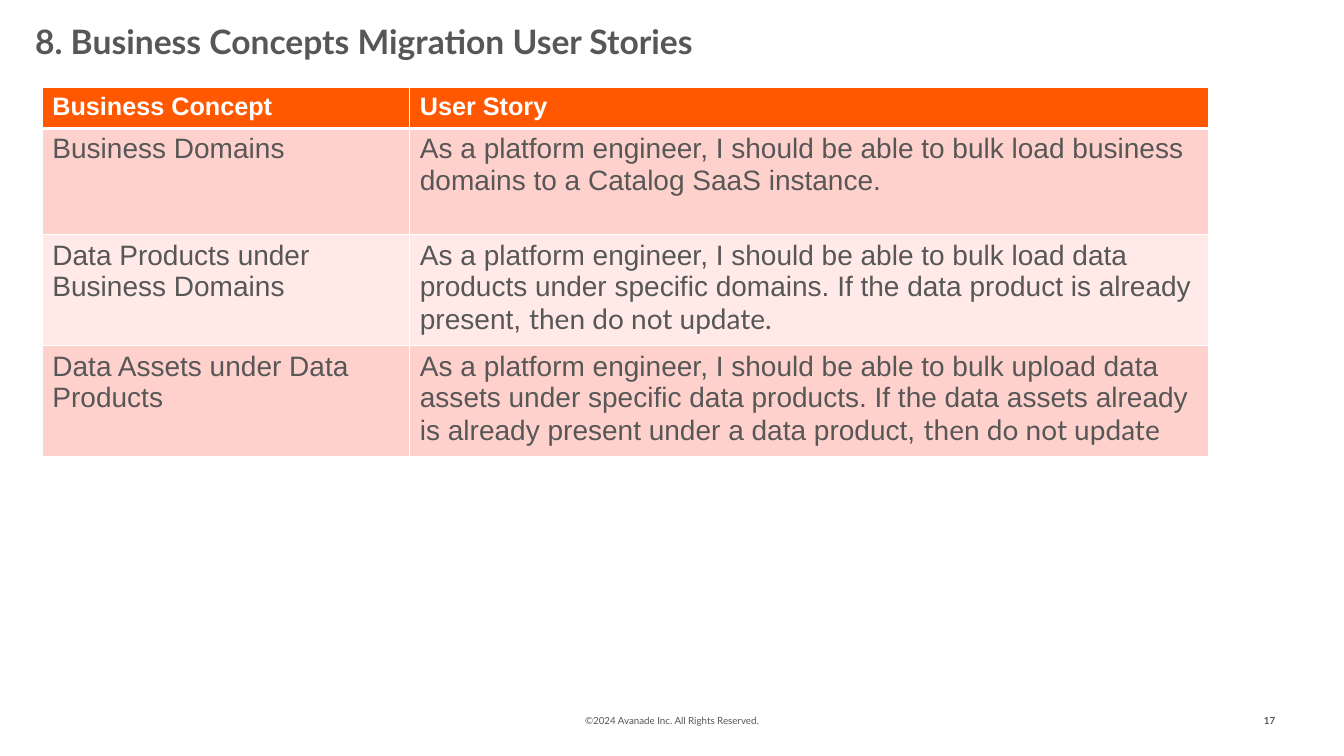
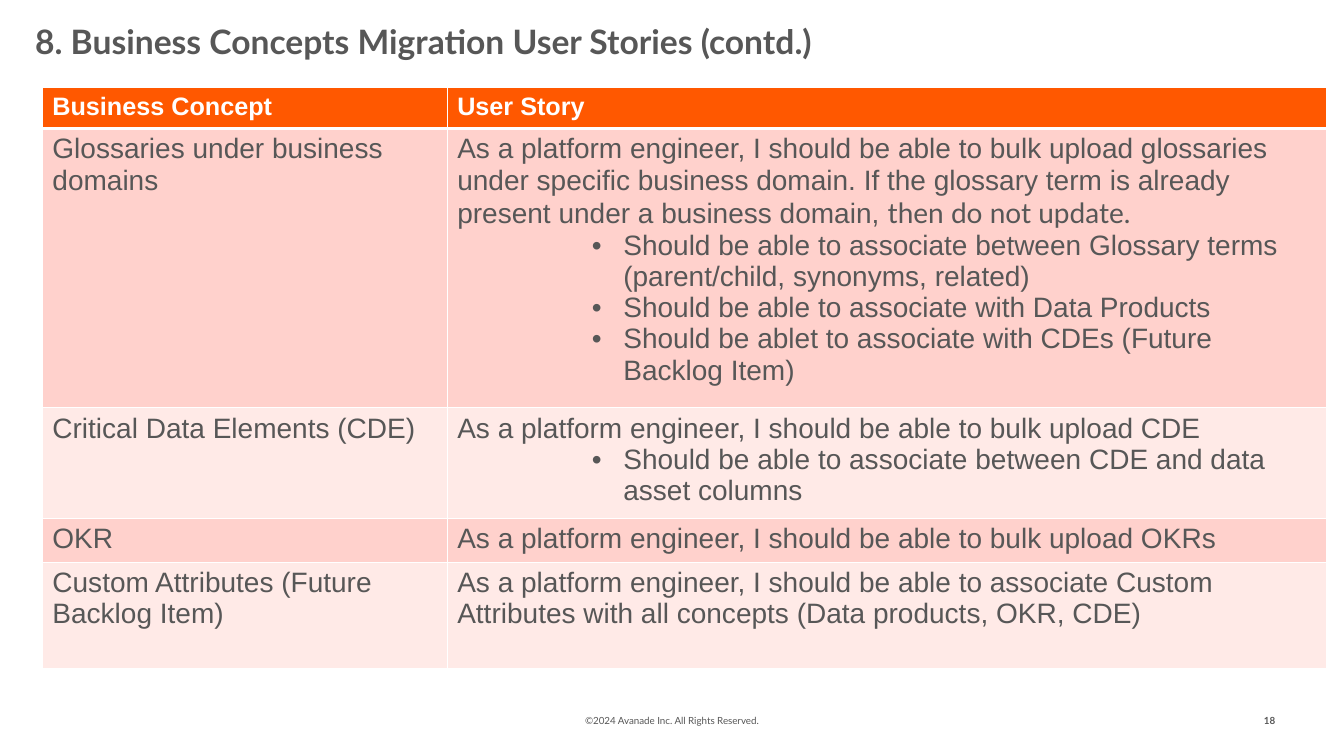
from dataclasses import dataclass

from pptx import Presentation
from pptx.dml.color import RGBColor as Rgb
from pptx.enum.shapes import MSO_SHAPE as Preset
from pptx.enum.text import MSO_ANCHOR as Anchor, PP_ALIGN as Align
from pptx.oxml.ns import qn
from pptx.util import Pt
from lxml.etree import SubElement


@dataclass(frozen=True)
class Theme:
    ink: str = "575757"
    white: str = "FFFFFF"
    header: str = "FF5800"
    bands: tuple = ("FFD1CC", "FFEAE7")
    heading_font: str = "Lato"
    body_font: str = "Arial"
    title_size: int = 24
    header_size: int = 18
    body_size: int = 20
    footer_size: int = 7


THEME = Theme()
HEADINGS = ("Business Concept", "User Story")
ROW_HEIGHT = 29.2
TALL_ROW_HEIGHT = 75.8
COPYRIGHT = "©2024 Avanade Inc. All Rights Reserved."


@dataclass(frozen=True)
class Story:
    concept: str
    need: str
    rule: str = ""
    points: tuple = ()
    height: float = ROW_HEIGHT


MIGRATION = (
    Story("Business Domains",
          "As a platform engineer, I should be able to bulk load business domains "
          "to a Catalog SaaS instance.", height=TALL_ROW_HEIGHT),
    Story("Data Products under Business Domains",
          "As a platform engineer, I should be able to bulk load data products under "
          "specific domains. If the data product is already present, ",
          "then do not update."),
    Story("Data Assets under Data Products",
          "As a platform engineer, I should be able to bulk upload data assets under "
          "specific data products. If the data assets already is already present "
          "under a data product, ", "then do not update"),
)
MIGRATION_CONTINUED = (
    Story("Glossaries under business domains",
          "As a platform engineer, I should be able to bulk upload glossaries under "
          "specific business domain. If the glossary term is already present under "
          "a business domain, ", "then do not update.",
          ("Should be able to associate between Glossary terms "
           "(parent/child, synonyms, related)",
           "Should be able to associate with Data Products",
           "Should be ablet to associate with CDEs (Future Backlog Item)")),
    Story("Critical Data Elements (CDE)",
          "As a platform engineer, I should be able to bulk upload CDE",
          points=("Should be able to associate between CDE and data asset columns",)),
    Story("OKR", "As a platform engineer, I should be able to bulk upload OKRs"),
    Story("Custom Attributes (Future Backlog Item)",
          "As a platform engineer, I should be able to associate Custom Attributes "
          "with all concepts (Data products, OKR, CDE)", height=TALL_ROW_HEIGHT),
)


def write(paragraph, text, font=THEME.body_font, size=THEME.body_size,
          color=THEME.ink, bold=False):
    run = paragraph.add_run()
    run.text = text
    run.font.name = font
    run.font.size = Pt(size)
    run.font.bold = bold
    run.font.color.rgb = Rgb.from_string(color)


def paint(target, color):
    target.fill.solid()
    target.fill.fore_color.rgb = Rgb.from_string(color)


def fill_label(holder, text, align=Align.LEFT, anchor=Anchor.MIDDLE, **text_format):
    frame = holder.text_frame
    frame.word_wrap = True
    frame.vertical_anchor = anchor
    paragraph = frame.paragraphs[0]
    paragraph.alignment = align
    write(paragraph, text, font=THEME.heading_font, **text_format)


def add_label(slide, text, box, **label_format):
    fill_label(slide.shapes.add_textbox(*map(Pt, box)), text, **label_format)


def add_copyright(slide):
    band = slide.shapes.add_shape(Preset.RECTANGLE, *map(Pt, (318, 500.4, 324, 28.8)))
    band.shadow.inherit = False
    band.line.fill.background()
    paint(band, THEME.white)
    fill_label(band, COPYRIGHT, align=Align.CENTER, size=THEME.footer_size)


def add_bullet(frame, text):
    paragraph = frame.add_paragraph()
    paragraph.level = 2
    properties = paragraph._p.get_or_add_pPr()
    properties.set("marL", str(Pt(118.6)))
    properties.set("indent", str(Pt(-22.5)))
    SubElement(properties, qn("a:buFont"), typeface=THEME.body_font)
    SubElement(properties, qn("a:buChar"), char="•")
    write(paragraph, text)


def style_cell(cell, fill, bottom=1):
    properties = cell._tc.get_or_add_tcPr()
    for side, width in (("L", 1), ("R", 1), ("T", 1), ("B", bottom)):
        border = SubElement(properties, qn(f"a:ln{side}"), w=str(Pt(width)))
        SubElement(SubElement(border, qn("a:solidFill")), qn("a:srgbClr"), val=THEME.white)
    paint(cell, fill)


def add_story_table(slide, stories, widths):
    heights = [ROW_HEIGHT] + [story.height for story in stories]
    table = slide.shapes.add_table(len(heights), len(widths), Pt(30.24), Pt(62.64),
                                   Pt(sum(widths)), Pt(sum(heights))).table
    for column, width in zip(table.columns, widths):
        column.width = Pt(width)
    for row, height in zip(table.rows, heights):
        row.height = Pt(height)
    for column, heading in enumerate(HEADINGS):
        cell = table.cell(0, column)
        style_cell(cell, THEME.header, bottom=3)
        write(cell.text_frame.paragraphs[0], heading, size=THEME.header_size,
              color=THEME.white, bold=True)
    for index, story in enumerate(stories):
        concept, need = table.rows[index + 1].cells
        for cell, text in ((concept, story.concept), (need, story.need)):
            style_cell(cell, THEME.bands[index % 2])
            write(cell.text_frame.paragraphs[0], text)
        if story.rule:
            write(need.text_frame.paragraphs[0], story.rule, font=THEME.heading_font)
        for point in story.points:
            add_bullet(need.text_frame, point)


def add_story_slide(deck, number, title, stories, widths):
    slide = deck.slides.add_slide(deck.slide_layouts[6])
    add_copyright(slide)
    add_label(slide, str(number), (883.4, 500.4, 34.6, 28.8), align=Align.RIGHT,
              size=THEME.footer_size, bold=True)
    add_story_table(slide, stories, widths)
    add_label(slide, title, (18, 11.4, 882, 31.7), anchor=Anchor.TOP,
              size=THEME.title_size, bold=True)


def main():
    deck = Presentation()
    deck.slide_width, deck.slide_height = Pt(960), Pt(540)
    title = "8. Business Concepts Migration User Stories"
    add_story_slide(deck, 17, title, MIGRATION, (262.5, 570.5))
    add_story_slide(deck, 18, f"{title} (contd.)", MIGRATION_CONTINUED, (289.2, 628))
    deck.save("out.pptx")


if __name__ == "__main__":
    main()
